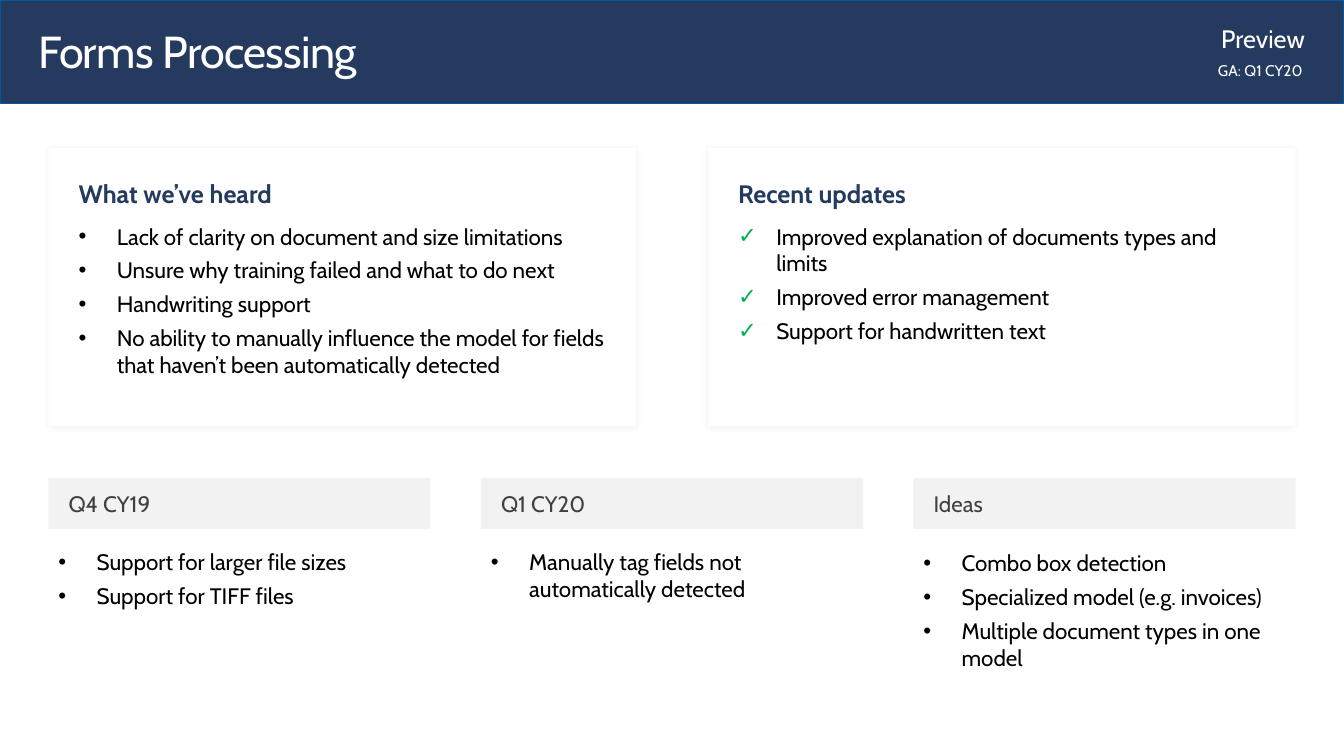
from dataclasses import dataclass

from lxml import etree
from pptx import Presentation
from pptx import util as u
from pptx.dml.color import RGBColor
from pptx.enum import shapes, text
from pptx.oxml import ns

FONT = "Cabin"
NAVY, WHITE, BLACK = "243A5E", "FFFFFF", "000000"
PALE_GREY, DARK_GREY, GREEN = "F2F2F2", "404040", "00B050"
MARGIN, CONTENT_WIDTH = 0.48, 12.37
CARD_WIDTH, COLUMN_WIDTH = 5.83, 3.79


@dataclass
class Card:
    heading: str
    items: list[str]
    bullet: str
    bullet_color: str


@dataclass
class Column:
    heading: str
    items: list[str]
    items_top: float = 5.39


CARDS = [
    Card("What we’ve heard", [
        "Lack of clarity on document and size limitations",
        "Unsure why training failed and what to do next",
        "Handwriting support",
        "No ability to manually influence the model for fields "
        "that haven’t been automatically detected",
    ], "•", BLACK),
    Card("Recent updates", [
        "Improved explanation of documents types and limits",
        "Improved error management",
        "Support for handwritten text",
    ], "✓", GREEN),
]
COLUMNS = [
    Column("Q4 CY19", ["Support for larger file sizes", "Support for TIFF files"]),
    Column("Q1 CY20", ["Manually tag fields not automatically detected"]),
    Column("Ideas", [
        "Combo box detection",
        "Specialized model (e.g. invoices)",
        "Multiple document types in one model",
    ], 5.4),
]


def rgb(color: str) -> RGBColor:
    return RGBColor.from_string(color)


def spread(index: int, count: int, width: float) -> float:
    """Left edge of one of count equal boxes spread over the content width."""
    return MARGIN + index * (CONTENT_WIDTH - width) / (count - 1)


def set_margins(frame, horizontal: float, vertical: float) -> None:
    frame.margin_left = frame.margin_right = u.Inches(horizontal)
    frame.margin_top = frame.margin_bottom = u.Inches(vertical)


def add_rectangle(slide, left: float, top: float, width: float, height: float,
                  fill: str, line: str | None = None):
    shape = slide.shapes.add_shape(
        shapes.MSO_SHAPE.RECTANGLE, *map(u.Inches, (left, top, width, height)))
    shape.shadow.inherit = False
    shape.fill.solid()
    shape.fill.fore_color.rgb = rgb(fill)
    if line:
        shape.line.color.rgb = rgb(line)
        shape.line.width = u.Pt(0.85)
    else:
        shape.line.fill.background()
    shape.text_frame.word_wrap = True
    return shape


def add_text_box(slide, left: float, top: float, width: float, height: float,
                 wrap: bool = True):
    box = slide.shapes.add_textbox(*map(u.Inches, (left, top, width, height)))
    box.text_frame.word_wrap = wrap
    box.text_frame.auto_size = text.MSO_AUTO_SIZE.SHAPE_TO_FIT_TEXT
    return box.text_frame


def add_soft_shadow(shape) -> None:
    effects = shape._element.spPr.find(ns.qn("a:effectLst"))
    shadow = etree.SubElement(effects, ns.qn("a:outerShdw"),
                              blurRad=str(u.Pt(5)), dist="0", dir="0")
    color = etree.SubElement(shadow, ns.qn("a:srgbClr"), val=BLACK)
    etree.SubElement(color, ns.qn("a:alpha"), val="5000")


def add_run(paragraph, wording: str, size: float, color: str, bold: bool = False):
    run = paragraph.add_run()
    run.text = wording
    run.font.name = FONT
    run.font.size = u.Pt(size)
    run.font.bold = bold
    run.font.color.rgb = rgb(color)
    return run


def add_items(frame, items: list[str], bullet: str = "•",
              bullet_color: str = BLACK) -> None:
    for item in items:
        first = frame.paragraphs[0]
        paragraph = frame.add_paragraph() if first.runs else first
        paragraph.alignment = text.PP_ALIGN.LEFT
        properties = paragraph._p.get_or_add_pPr()
        properties.set("marL", str(u.Inches(0.38)))
        properties.set("indent", str(u.Inches(-0.38)))
        color = etree.SubElement(properties, ns.qn("a:buClr"))
        etree.SubElement(color, ns.qn("a:srgbClr"), val=bullet_color)
        etree.SubElement(properties, ns.qn("a:buFont"), typeface="Arial")
        etree.SubElement(properties, ns.qn("a:buChar"), char=bullet)
        paragraph.space_after = u.Pt(5)
        add_run(paragraph, item, 16, BLACK)


def add_header(slide) -> None:
    add_rectangle(slide, 0, 0, 13.33, 1.03, NAVY, "00599D")
    title = add_text_box(slide, 0.38, 0.24, 4.13, 0.54)
    set_margins(title, 0, 0)
    run = add_run(title.paragraphs[0], "Forms Processing", 32, WHITE)
    run.font._element.set("spc", "-50")
    for wording, size, position in [
        ("Preview", 18, (11.94, 0.18, 1.1, 0.4)),
        ("GA: Q1 CY20", 11, (11.95, 0.56, 1.07, 0.29)),
    ]:
        paragraph = add_text_box(slide, *position, wrap=False).paragraphs[0]
        paragraph.alignment = text.PP_ALIGN.RIGHT
        add_run(paragraph, wording, size, WHITE)


def add_card(slide, card: Card, left: float) -> None:
    shape = add_rectangle(slide, left, 1.47, CARD_WIDTH, 2.76, WHITE)
    add_soft_shadow(shape)
    frame = shape.text_frame
    frame.vertical_anchor = text.MSO_ANCHOR.TOP
    set_margins(frame, 0.3, 0.3)
    heading = frame.paragraphs[0]
    heading.alignment = text.PP_ALIGN.LEFT
    heading.space_after = u.Pt(10)
    add_run(heading, card.heading, 18, NAVY, bold=True)
    add_items(frame, card.items, card.bullet, card.bullet_color)


def add_column(slide, column: Column, left: float) -> None:
    frame = add_rectangle(slide, left, 4.74, COLUMN_WIDTH, 0.51, PALE_GREY).text_frame
    frame.vertical_anchor = text.MSO_ANCHOR.MIDDLE
    set_margins(frame, 0.2, 0.12)
    frame.paragraphs[0].alignment = text.PP_ALIGN.LEFT
    add_run(frame.paragraphs[0], column.heading, 16, DARK_GREY)
    height = 0.1 + 0.35 * len(column.items)
    add_items(add_text_box(slide, left, column.items_top, COLUMN_WIDTH, height),
              column.items)


def main() -> None:
    presentation = Presentation()
    presentation.slide_width = u.Inches(13.33)
    presentation.slide_height = u.Inches(7.5)
    slide = presentation.slides.add_slide(presentation.slide_layouts[6])
    add_header(slide)
    for index, card in enumerate(CARDS):
        add_card(slide, card, spread(index, len(CARDS), CARD_WIDTH))
    for index, column in enumerate(COLUMNS):
        add_column(slide, column, spread(index, len(COLUMNS), COLUMN_WIDTH))
    presentation.save("out.pptx")


if __name__ == "__main__":
    main()
